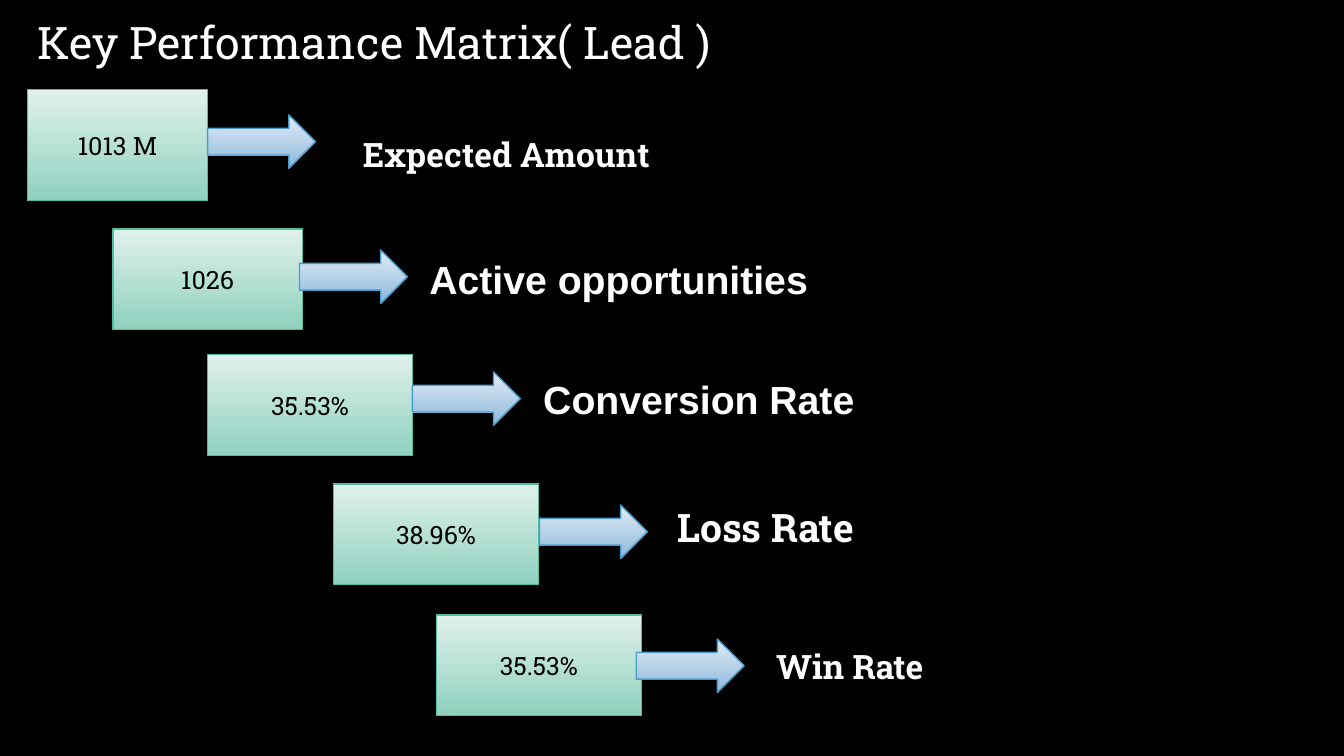
"""Build the lead key performance slide as a staircase of figures."""
import pptx
import pptx.util
import pptx.dml.color
import pptx.enum.shapes
import pptx.enum.text

RGBColor = pptx.dml.color.RGBColor
SHAPE = pptx.enum.shapes.MSO_SHAPE
ANCHOR = pptx.enum.text.MSO_ANCHOR
ALIGN = pptx.enum.text.PP_ALIGN

BLACK = RGBColor(0x00, 0x00, 0x00)
WHITE = RGBColor(0xFF, 0xFF, 0xFF)
MINT = RGBColor(0xE1, 0xF1, 0xEC)
GREEN = RGBColor(0x8F, 0xD1, 0xBE)
GREEN_LINE = RGBColor(0x50, 0xBE, 0xA3)
PALE_BLUE = RGBColor(0xE3, 0xEC, 0xF5)
BLUE = RGBColor(0x8C, 0xB8, 0xDC)
BLUE_LINE = RGBColor(0x4A, 0x9C, 0xCC)

SLAB = "Roboto Slab"
WIDTH = pptx.util.Inches(13.33)
HEIGHT = pptx.util.Inches(7.5)
ARROW_SIZE = (8.03, 7.07)
LABEL_SIZE = (36, 7.6)

STEPS = [
    {"value": "1013 M", "box": (2.03, 11.87, 13.43, 14.67), "arrow": (15.45, 15.2),
     "label": "Expected Amount", "at": (26.26, 17.07), "size": 24, "font": SLAB},
    {"value": "1026", "box": (8.4, 30.27, 14.1, 13.33), "arrow": (22.28, 33.07),
     "label": "Active opportunities", "at": (31.21, 33.07), "size": 28, "font": "Arial"},
    {"value": "35.53%", "box": (15.45, 46.93, 15.23, 13.33), "arrow": (30.68, 49.2),
     "label": "Conversion Rate", "at": (39.68, 48.93), "size": 28, "font": "Arial"},
    {"value": "38.96%", "box": (24.83, 64, 15.23, 13.33), "arrow": (40.14, 66.8),
     "label": "Loss Rate", "at": (49.66, 65.87), "size": 28, "font": SLAB},
    {"value": "35.53%", "box": (32.48, 81.33, 15.23, 13.33), "arrow": (47.34, 84.53),
     "label": "Win Rate", "at": (57.01, 84.8), "size": 24, "font": SLAB},
]


def place(x, y, w, h):
    """Turn percentages of the slide into left, top, width and height."""
    return (int(WIDTH * x / 100), int(HEIGHT * y / 100),
            int(WIDTH * w / 100), int(HEIGHT * h / 100))


def write(sp, text, size=18, font=SLAB, color=WHITE, bold=False,
          align=ALIGN.LEFT, anchor=ANCHOR.TOP):
    """Write one formatted paragraph into a shape."""
    tf = sp.text_frame
    tf.word_wrap = True
    tf.auto_size = pptx.enum.text.MSO_AUTO_SIZE.NONE
    tf.vertical_anchor = anchor
    p = tf.paragraphs[0]
    p.alignment = align
    r = p.add_run()
    r.text = text
    r.font.size = pptx.util.Pt(size)
    r.font.name = font
    r.font.bold = bold
    r.font.color.rgb = color


def add_gradient_shape(s, kind, area, colors, line):
    """Add a preset shape shaded from top to bottom."""
    sp = s.shapes.add_shape(kind, *place(*area))
    sp.shadow.inherit = False
    sp.fill.gradient()
    sp.fill.gradient_angle = 270
    for stop, color in zip(sp.fill.gradient_stops, colors):
        stop.color.rgb = color
    sp.line.color.rgb = line
    sp.line.width = pptx.util.Pt(1)
    return sp


def add_title(s, text):
    """Move and fill the title placeholder."""
    sp = s.shapes.title
    sp.left, sp.top, sp.width, sp.height = place(2.03, 1.33, 74.79, 8.53)
    write(sp, text, size=32)


def add_step(s, step):
    """Add one figure box with its arrow and label."""
    box = add_gradient_shape(s, SHAPE.RECTANGLE, step["box"], (MINT, GREEN), GREEN_LINE)
    write(box, step["value"], color=BLACK, align=ALIGN.CENTER, anchor=ANCHOR.MIDDLE)
    add_gradient_shape(s, SHAPE.RIGHT_ARROW, step["arrow"] + ARROW_SIZE,
                       (PALE_BLUE, BLUE), BLUE_LINE)
    label = s.shapes.add_textbox(*place(*step["at"], *LABEL_SIZE))
    write(label, step["label"], size=step["size"], font=step["font"], bold=True)


def main():
    """Build and save the slide."""
    prs = pptx.Presentation()
    prs.slide_width, prs.slide_height = WIDTH, HEIGHT
    s = prs.slides.add_slide(prs.slide_layouts[5])
    s.background.fill.solid()
    s.background.fill.fore_color.rgb = BLACK
    add_title(s, "Key Performance Matrix( Lead )")
    for step in STEPS:
        add_step(s, step)
    prs.save("out.pptx")


if __name__ == "__main__":
    main()
